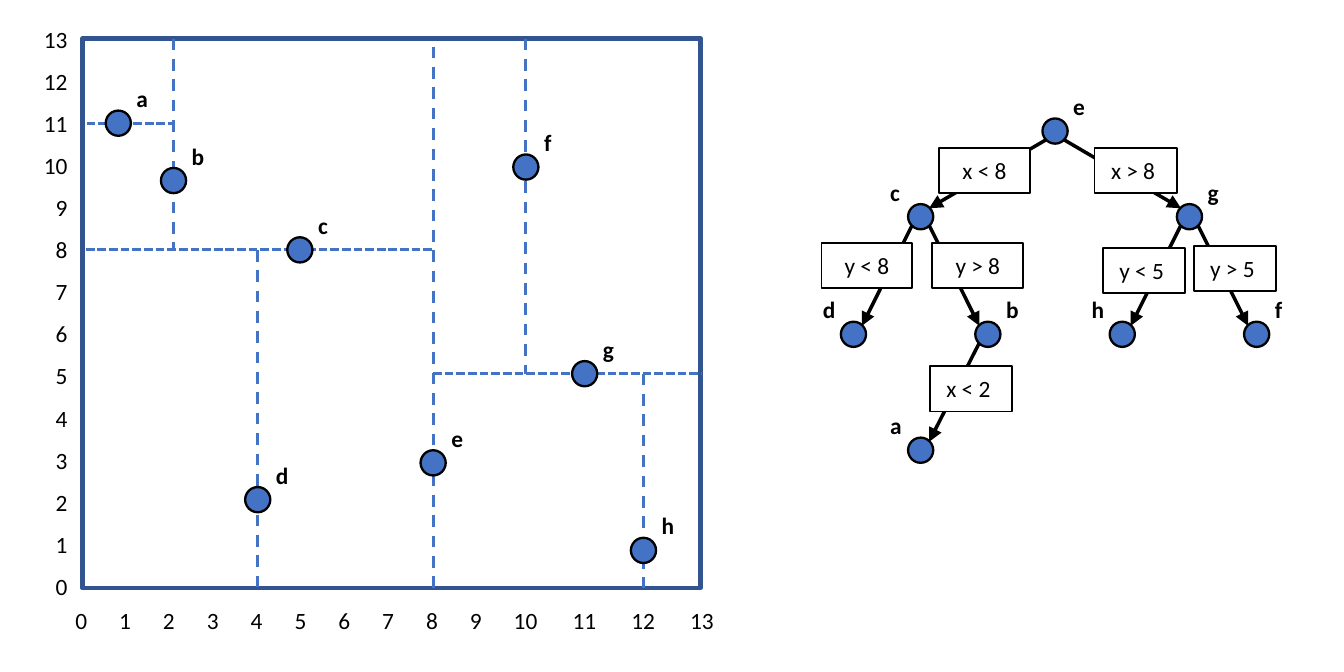
import pptx
import pptx.dml.color
import pptx.enum.dml
import pptx.enum.shapes
import pptx.enum.text
import pptx.oxml
import pptx.oxml.ns
import pptx.util

# Content: points and cuts are in axis units
AXIS_MAX = 13
POINTS = {
    "a": (0.82, 11), "b": (2.08, 9.64), "c": (4.96, 8), "d": (4, 2.09),
    "e": (8, 2.96), "f": (10, 9.96), "g": (11, 5.07), "h": (12, 0.89),
}
CUTS = [
    ((8, 0), (8, 13)), ((8, 5.07), (13, 5.07)), ((0.08, 8), (8, 8)),
    ((4, 8), (4, 0)), ((2.07, 13), (2.07, 8)), ((0.1, 11), (2.07, 11)),
    ((12, 5.07), (12, 0)), ((10, 13), (10, 5.07)),
]

# Tree nodes: column, row, side of the label
NODES = {
    "e": (3, 0, "right"), "c": (1, 1, "left"), "g": (5, 1, "right"),
    "h": (4, 2, "left"), "f": (6, 2, "right"), "d": (0, 2, "left"),
    "b": (2, 2, "right"), "a": (1, 3, "left"),
}
# Tree edges: parent, child, condition, box width, box shift from the middle
EDGES = [
    ("e", "g", "x > 8", 0.49, (0.08, -0.02)),
    ("e", "c", "x < 8", 0.54, (-0.02, -0.02)),
    ("c", "d", "y < 8", 0.54, (-0.12, -0.06)),
    ("c", "b", "y > 8", 0.54, (0.14, -0.06)),
    ("b", "a", "x < 2", 0.49, (0.1, -0.02)),
    ("g", "h", "y < 5", 0.49, (-0.07, -0.03)),
    ("g", "f", "y > 5", 0.49, (0.07, -0.04)),
]

# Layout in inches
PLOT_LEFT, PLOT_TOP, PLOT_WIDTH, PLOT_HEIGHT = 0.49, 0.23, 3.68, 3.27
NARROW_COLUMN, WIDE_COLUMN, WIDE_START = 0.26, 0.35, 3.13
TREE_LEFT, TREE_COLUMN = 5.08, 0.4
TREE_ROWS = [0.78, 1.29, 1.99, 2.68]
DOT, DOT_DIAGONAL, TEXT_HEIGHT = 0.15, 0.05, 0.27
BLUE, DARK_BLUE, BLACK, WHITE = "4472C4", "325491", "000000", "FFFFFF"

Inches, Pt = pptx.util.Inches, pptx.util.Pt
SHAPES = pptx.enum.shapes.MSO_SHAPE
DASHES = pptx.enum.dml.MSO_LINE
ALIGN = pptx.enum.text.PP_ALIGN

presentation = pptx.Presentation()
presentation.slide_width, presentation.slide_height = Inches(8), Inches(4)
slide = presentation.slides.add_slide(presentation.slide_layouts[6])


def color(hex_string):
    return pptx.dml.color.RGBColor.from_string(hex_string)


def plot_position(x, y):
    """Columns from 10 on are wider, to fit two digits."""
    if x < 10:
        left = PLOT_LEFT + x * NARROW_COLUMN * 1.004
    else:
        left = WIDE_START + (x - 10) * WIDE_COLUMN
    return left, PLOT_TOP + (AXIS_MAX - y) * PLOT_HEIGHT / AXIS_MAX


def paint(shape, fill, line, width):
    shape.fill.solid()
    shape.fill.fore_color.rgb = color(fill)
    shape.line.color.rgb = color(line)
    shape.line.width = Pt(width)


def add_shape(kind, left, top, width, height, fill, line, line_width):
    shape = slide.shapes.add_shape(
        kind, Inches(left), Inches(top), Inches(width), Inches(height))
    shape.shadow.inherit = False
    paint(shape, fill, line, line_width)


def add_text(lines, left, top, width, height=TEXT_HEIGHT,
             align=ALIGN.LEFT, bold=False, gap=0):
    box = slide.shapes.add_textbox(
        Inches(left), Inches(top), Inches(width), Inches(height))
    frame = box.text_frame
    frame.word_wrap = True
    frame.text = "\n".join(lines)
    for paragraph in frame.paragraphs:
        paragraph.alignment = align
        paragraph.space_after = Pt(gap)
        paragraph.font.name = "Calibri"
        paragraph.font.size = Pt(10)
        paragraph.font.bold = bold
        paragraph.font.color.rgb = color(BLACK)
    return box


def add_line(start, end, line, width, dash=None, arrow=False):
    connector = slide.shapes.add_connector(
        pptx.enum.shapes.MSO_CONNECTOR.STRAIGHT,
        *[Inches(value) for value in (*start, *end)])
    connector.line.color.rgb = color(line)
    connector.line.width = Pt(width)
    if dash:
        connector.line.dash_style = dash
    if arrow:
        tail = pptx.oxml.parse_xml(
            f'<a:tailEnd {pptx.oxml.ns.nsdecls("a")} type="triangle"/>')
        connector.line._get_or_add_ln().append(tail)
    connector._element.spPr.append(pptx.oxml.parse_xml(
        f'<a:effectLst {pptx.oxml.ns.nsdecls("a")}/>'))


def add_dot(name, center, side="right"):
    x, y = center
    add_shape(SHAPES.OVAL, x - DOT / 2, y - DOT / 2, DOT, DOT, BLUE, BLACK, 1)
    shift = 0.01 if side == "right" else -0.28
    add_text([name], x + shift, y - 0.28, 0.3, bold=True)


# Plot frame and axis labels
add_shape(SHAPES.RECTANGLE, PLOT_LEFT, PLOT_TOP, PLOT_WIDTH, PLOT_HEIGHT,
          WHITE, DARK_BLUE, 2)
add_text([str(value) for value in range(AXIS_MAX, -1, -1)],
         0.1, 0.1, 0.4, 3.55, ALIGN.RIGHT, gap=6)
for value in range(AXIS_MAX + 1):
    half_label = 0.14 if value < 10 else 0.17
    add_text([str(value)], plot_position(value, 0)[0] - half_label, 3.56, 0.4)

# Cuts and points
for start, end in CUTS:
    horizontal = start[1] == end[1]
    add_line(plot_position(*start), plot_position(*end), BLUE, 1.25,
             DASHES.SQUARE_DOT if horizontal else DASHES.DASH)
for name, point in POINTS.items():
    add_dot(name, plot_position(*point))

# Tree nodes
centers = {}
for name, (column, row, side) in NODES.items():
    centers[name] = (TREE_LEFT + column * TREE_COLUMN, TREE_ROWS[row])
    add_dot(name, centers[name], side)

# Tree edges with their conditions
for parent, child, condition, width, (shift_x, shift_y) in EDGES:
    (x1, y1), (x2, y2) = centers[parent], centers[child]
    toward = DOT_DIAGONAL if x2 > x1 else -DOT_DIAGONAL
    add_line((x1 + toward, y1 + DOT_DIAGONAL),
             (x2 - toward, y2 - DOT_DIAGONAL), BLACK, 1.5, arrow=True)
    box = add_text([condition], (x1 + x2 - width) / 2 + shift_x,
                   (y1 + y2 - TEXT_HEIGHT) / 2 + shift_y, width,
                   align=ALIGN.CENTER if width > 0.5 else ALIGN.LEFT)
    paint(box, WHITE, BLACK, 0.75)

presentation.save("out.pptx")
